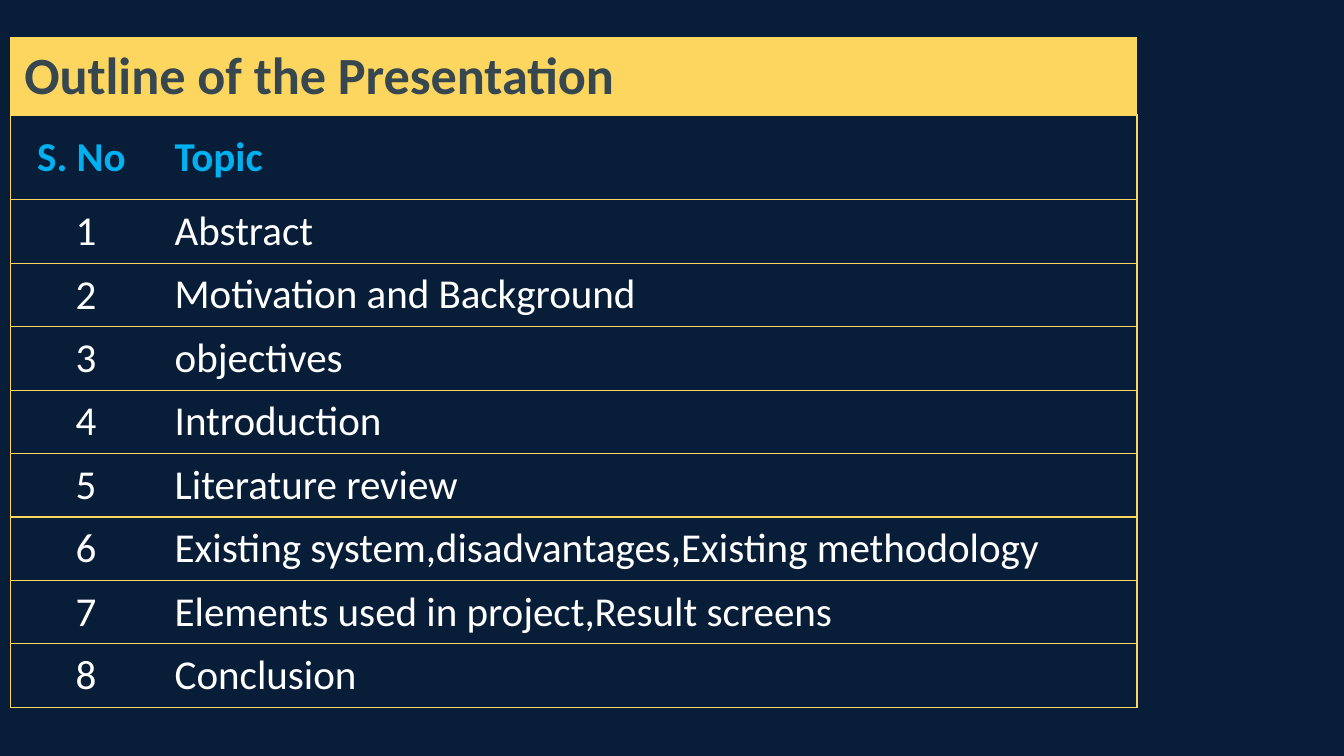
import pptx
import pptx.dml.color
import pptx.enum.text
import pptx.oxml
import pptx.oxml.ns
import pptx.util

Pt = pptx.util.Pt
ALIGN = pptx.enum.text.PP_ALIGN
ANCHOR = pptx.enum.text.MSO_ANCHOR

NAVY = "081D37"
YELLOW = "FDD660"
SLATE = "37474F"
BLUE = "00B0F0"
WHITE = "FFFFFF"

COLUMN_WIDTHS = [80.6, 522.7]
TITLE_HEIGHT, HEADING_HEIGHT, TOPIC_HEIGHT = 39, 45.4, 33.1
TOPICS = [
    "Abstract",
    "Motivation and Background",
    "objectives",
    "Introduction",
    "Literature review",
    "Existing system,disadvantages,Existing methodology",
    "Elements used in project,Result screens",
    "Conclusion",
]


def color(hex_string):
    return pptx.dml.color.RGBColor.from_string(hex_string)


def set_background(page, hex_string):
    fill = page.background.fill
    fill.solid()
    fill.fore_color.rgb = color(hex_string)


def set_borders(cell, sides):
    properties = cell._tc.get_or_add_tcPr()
    namespace = pptx.oxml.ns.nsdecls("a")
    for position, side in enumerate("LRTB"):
        if side in sides:
            paint = f'<a:solidFill><a:srgbClr val="{YELLOW}"/></a:solidFill>'
        else:
            paint = "<a:noFill/>"
        border = f'<a:ln{side} {namespace} w="{Pt(0.75)}">{paint}</a:ln{side}>'
        properties.insert(position, pptx.oxml.parse_xml(border))


def fill_cell(cell, text, size, text_color, bold=False,
              align=ALIGN.LEFT, anchor=ANCHOR.TOP):
    cell.text_frame.text = text
    cell.vertical_anchor = anchor
    para = cell.text_frame.paragraphs[0]
    para.alignment = align
    font = para.runs[0].font
    font.name = "Calibri"
    font.size = Pt(size)
    font.bold = bold
    font.color.rgb = color(text_color)


def add_outline_table(page):
    heights = [TITLE_HEIGHT, HEADING_HEIGHT] + [TOPIC_HEIGHT] * len(TOPICS)
    frame = page.shapes.add_table(
        len(heights), len(COLUMN_WIDTHS), Pt(5.8), Pt(20.2),
        Pt(sum(COLUMN_WIDTHS)), Pt(sum(heights)))
    table = frame.table
    table.first_row = False
    table.horz_banding = False
    for column, width in zip(table.columns, COLUMN_WIDTHS):
        column.width = Pt(width)
    for row, height in zip(table.rows, heights):
        row.height = Pt(height)
        for cell, outer_side in zip(row.cells, "LR"):
            cell.fill.background()
            set_borders(cell, outer_side + "TB")
    return table


def fill_title(table):
    title = table.cell(0, 0)
    title.merge(table.cell(0, 1))
    title.fill.solid()
    title.fill.fore_color.rgb = color(YELLOW)
    fill_cell(title, "Outline of the Presentation", 28, SLATE, bold=True)


def fill_headings(table):
    fill_cell(table.cell(1, 0), "S. No ", 22, BLUE, True, ALIGN.CENTER, ANCHOR.MIDDLE)
    fill_cell(table.cell(1, 1), "Topic", 22, BLUE, True, anchor=ANCHOR.MIDDLE)


def fill_topics(table):
    for number, topic in enumerate(TOPICS, start=1):
        row = number + 1
        fill_cell(table.cell(row, 0), str(number), 22, WHITE,
                  align=ALIGN.CENTER, anchor=ANCHOR.MIDDLE)
        fill_cell(table.cell(row, 1), topic, 22, WHITE)


def main():
    deck = pptx.Presentation()
    deck.slide_width = Pt(720)
    deck.slide_height = Pt(405)
    page = deck.slides.add_slide(deck.slide_layouts[6])
    set_background(page, NAVY)
    table = add_outline_table(page)
    fill_title(table)
    fill_headings(table)
    fill_topics(table)
    deck.save("out.pptx")


if __name__ == "__main__":
    main()
